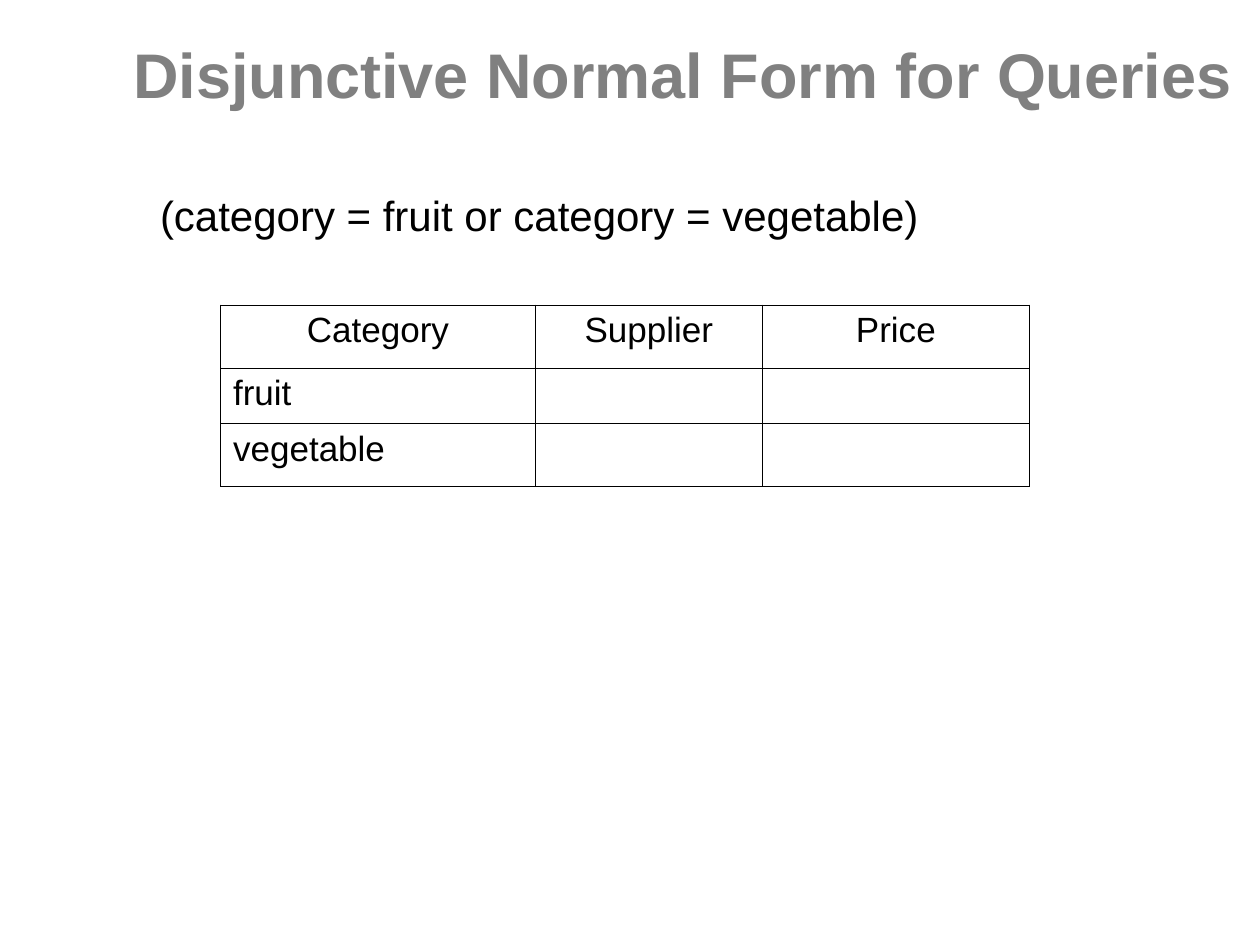
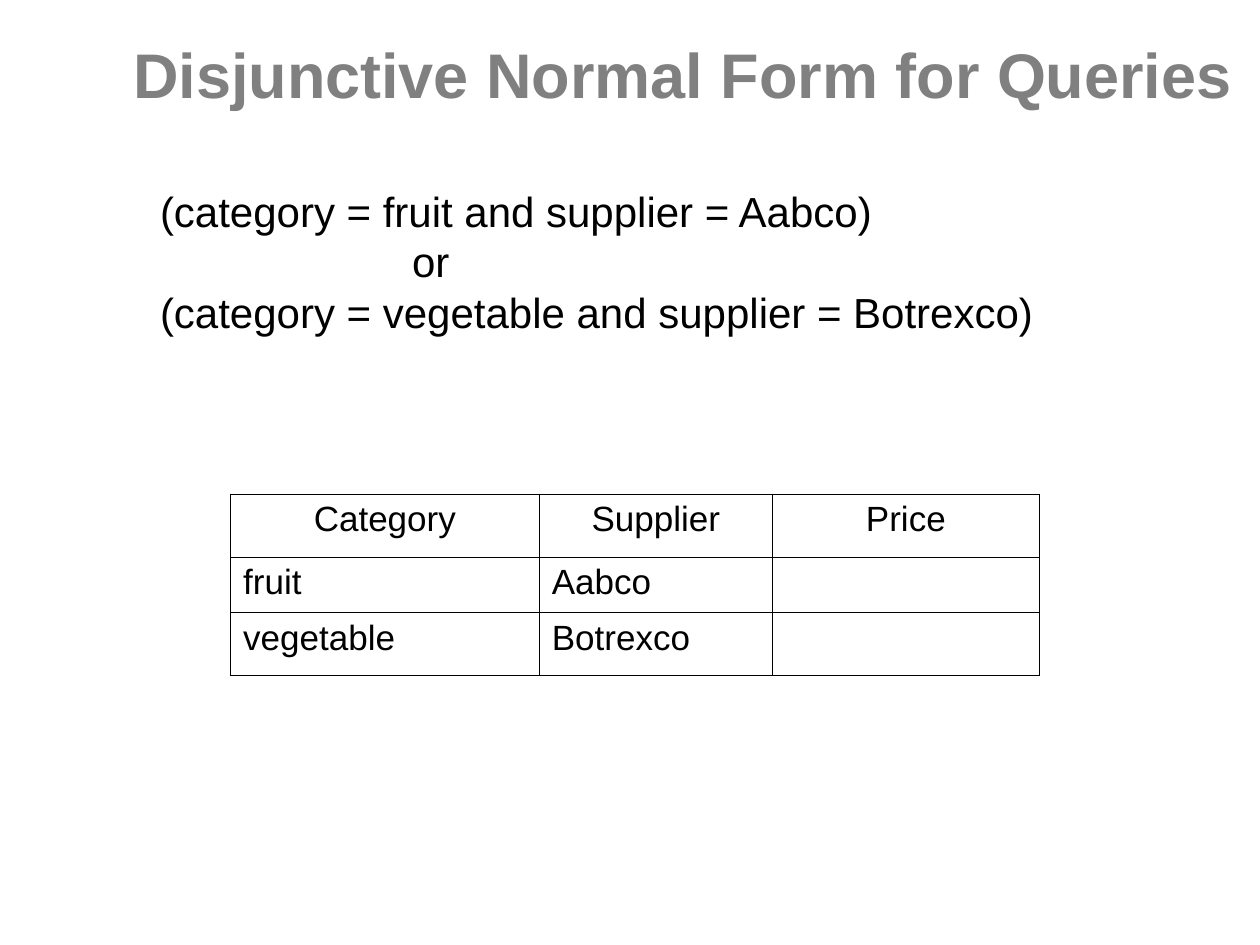
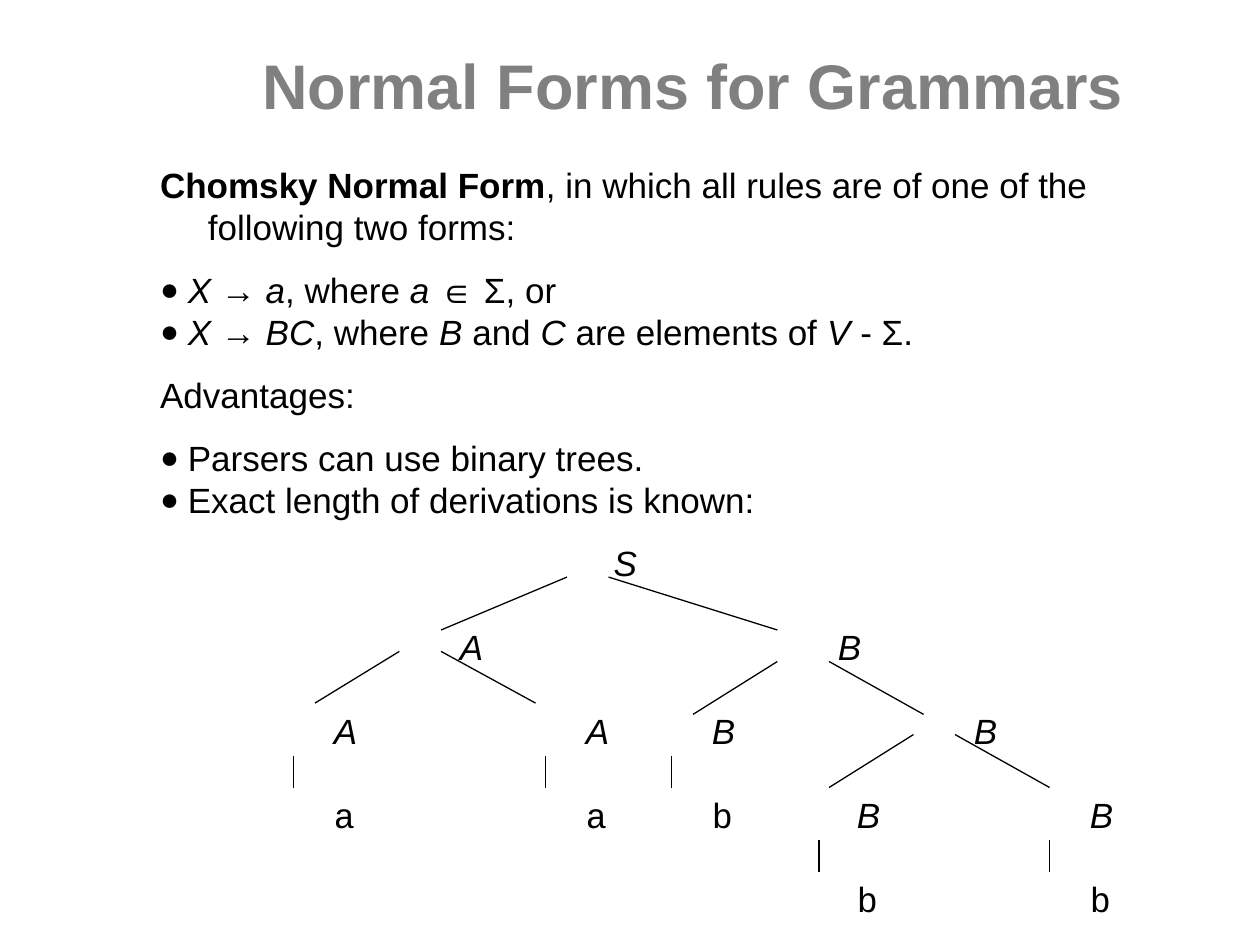
from dataclasses import dataclass

from lxml.etree import SubElement as Sub
from pptx import Presentation
from pptx.dml.color import RGBColor as RGB
from pptx.enum.shapes import MSO_CONNECTOR as Link
from pptx.enum.text import MSO_ANCHOR as Anchor, MSO_AUTO_SIZE as Fit, PP_ALIGN as Align
from pptx.oxml.ns import qn
from pptx.util import Inches, Pt


@dataclass(frozen=True)
class Theme:
    gray: RGB = RGB(0x80, 0x80, 0x80)
    ink: RGB = RGB(0, 0, 0)
    font: str = "Arial"
    mono: str = "Courier New"
    head: int = 36
    rule: int = 24
    text: int = 20
    lead: float = 1.2      # line height as a share of the type size
    edge: float = 0.45     # table borders
    line: float = 0.75     # tree branches


LEFT = 1.17
WIDE = 8.67


class Deck:
    def __init__(self, theme):
        self.theme = theme
        self.prs = Presentation()
        self.prs.slide_width, self.prs.slide_height = Inches(10), Inches(7.5)

    def place(self, shape, box):
        shape.left, shape.top, shape.width, shape.height = map(Inches, box)
        frame = shape.text_frame
        frame.word_wrap, frame.auto_size = True, Fit.NONE
        return frame

    def style(self, run, size, color=None, face=None, bold=False, slant=False):
        font = run.font
        font.name, font.size = face or self.theme.font, Pt(size)
        font.bold, font.italic = bold, slant
        font.color.rgb = color or self.theme.ink

    def page(self, title, box):
        self.slide = self.prs.slides.add_slide(self.prs.slide_layouts[1])
        frame = self.place(self.slide.shapes.title, box)
        frame.text = title
        frame.vertical_anchor = Anchor.MIDDLE
        frame.paragraphs[0].alignment = Align.CENTER
        self.style(frame.paragraphs[0].runs[0], self.theme.head, self.theme.gray, bold=True)

    def body(self, top, high):
        self.frame = self.place(self.slide.placeholders[1], (LEFT, top, WIDE, high))
        self.first = True

    def para(self, parts, size, gap=0, left=0, hang=0, dot=False):
        """Add a paragraph of (text, marks) parts; marks are b or i."""
        para = self.frame.paragraphs[0] if self.first else self.frame.add_paragraph()
        self.first = False
        props = para._p.get_or_add_pPr()
        props.set("marL", str(Inches(left + hang)))
        props.set("indent", str(-Inches(hang)))
        if dot:
            Sub(props, qn("a:buSzPct"), val="90000")
            Sub(props, qn("a:buChar"), char="●")
        else:
            Sub(props, qn("a:buNone"))
        para.line_spacing = Pt(size * self.theme.lead)
        para.space_before = Pt(gap)
        for text, marks in parts:
            run = para.add_run()
            run.text = text
            self.style(run, size, bold="b" in marks, slant="i" in marks)

    def label(self, text, left, top):
        """Add a tree label: capitals in italics, leaves in the mono face."""
        box = (left, top, 0.35, 0.33)
        frame = self.place(self.slide.shapes.add_textbox(*map(Inches, box)), box)
        frame.margin_left = frame.margin_right = 0
        frame.margin_top = frame.margin_bottom = 0
        frame.text = text
        para = frame.paragraphs[0]
        para.line_spacing = Pt(self.theme.text * self.theme.lead)
        leaf = text.islower()
        self.style(para.runs[0], self.theme.text,
                   face=self.theme.mono if leaf else None, slant=not leaf)

    def table(self, left, top, cols, rows, data):
        grid = self.slide.shapes.add_table(
            len(rows), len(cols), Inches(left), Inches(top),
            Inches(sum(cols)), Inches(sum(rows))).table
        grid.first_row = grid.horz_banding = False
        for col, wide in zip(grid.columns, cols):
            col.width = Inches(wide)
        for r, (row, high) in enumerate(zip(grid.rows, rows)):
            row.height = Inches(high)
            for cell, text in zip(row.cells, data[r]):
                self.cell(cell, text, r == 0)

    def cell(self, cell, text, head):
        props = cell._tc.get_or_add_tcPr()
        for side in "LRTB":
            line = Sub(props, qn(f"a:ln{side}"), w=str(Pt(self.theme.edge)))
            fill = Sub(line, qn("a:solidFill"))
            Sub(fill, qn("a:srgbClr"), val=str(self.theme.ink))
        cell.fill.background()
        cell.text = text
        para = cell.text_frame.paragraphs[0]
        para.alignment = Align.CENTER if head else Align.LEFT
        for run in para.runs:
            self.style(run, self.theme.text)

    def line(self, x1, y1, x2, y2):
        link = self.slide.shapes.add_connector(
            Link.STRAIGHT, *map(Inches, (x1, y1, x2, y2)))
        link.line.color.rgb = self.theme.ink
        link.line.width = Pt(self.theme.line)
        Sub(link._element.spPr, qn("a:effectLst"))


QUERY = "Disjunctive Normal Form for Queries"
QBOX = (0.92, 0.17, 9, 0.83)
HEADS = ("Category", "Supplier", "Price")
ROWS = (0.5, 0.44, 0.5)


def fruit(deck):
    deck.page(QUERY, QBOX)
    deck.body(1.45, 0.5)
    deck.para([("(category = fruit or category = vegetable)", "")], deck.theme.rule)
    deck.table(1.75, 2.42, (2.5, 1.8, 2.12), ROWS,
               (HEADS, ("fruit", "", ""), ("vegetable", "", "")))


def goods(deck):
    deck.page(QUERY, QBOX)
    deck.body(1.42, 1.3)
    for text, left in (("(category = fruit and supplier = Aabco)", 0), ("or", 2),
                       ("(category = vegetable and supplier = Botrexco)", 0)):
        deck.para([(text, "")], deck.theme.rule, left=left)
    deck.table(1.83, 3.92, (2.45, 1.85, 2.12), ROWS,
               (HEADS, ("fruit", "Aabco", ""), ("vegetable", "Botrexco", "")))


def tree(deck):
    # Each level lists its labels with their left edges
    levels = (
        (("S", 4.87),),
        (("A", 3.65), ("B", 6.65)),
        (("A", 2.65), ("A", 4.65), ("B", 5.65), ("B", 7.73)),
        (("a", 2.65), ("a", 4.65), ("b", 5.65), ("B", 6.8), ("B", 8.65)),
        (("b", 6.8), ("b", 8.65)),
    )
    for n, level in enumerate(levels):
        for name, x in level:
            deck.label(name, x, 4.3 + n * 2 / 3)

    # Stems above the leaves
    for x, y in ((2.33, 6), (4.33, 6), (5.33, 6), (6.5, 6.67), (8.33, 6.67)):
        deck.line(x, y, x, y + 0.25)

    # Left and right branches below each inner node
    forks = (
        (4.5, 4.83, 4.58, 3.5, 6.17, 5),
        (3.17, 3.5, 5.17, 2.5, 4.25, 5.58),
        (6.17, 6.58, 5.25, 5.5, 7.33, 5.67),
        (7.25, 7.58, 5.83, 6.58, 8.33, 6.25),
    )
    for west, east, top, low, high, base in forks:
        deck.line(west, top, low, base)
        deck.line(high, base, east, top)


def grammar(deck):
    deck.page("Normal Forms for Grammars", (1, 0.17, 9, 1))
    deck.body(1.25, 3.1)
    size = deck.theme.text
    deck.para([("Chomsky Normal Form", "b"),
               (", in which all rules are of one of the following two forms:", "")],
              size, hang=0.38)

    def points(*items):
        for n, parts in enumerate(items):
            deck.para(parts, size, gap=0 if n else 12, hang=0.22, dot=True)

    points([("X ", "i"), ("→ ", ""), ("a", "i"), (", where ", ""), ("a ", "i"),
            ("∈ Σ, or", "")],
           [("X ", "i"), ("→ ", ""), ("BC", "i"), (", where ", ""), ("B", "i"),
            (" and ", ""), ("C", "i"), (" are elements of ", ""), ("V", "i"),
            (" - Σ.", "")])
    deck.para([("Advantages:", "")], size, gap=12)
    points([("Parsers can use binary trees.", "")],
           [("Exact length of derivations is known:", "")])
    tree(deck)


def main():
    deck = Deck(Theme())
    for build in (fruit, goods, grammar):
        build(deck)
    deck.prs.save("out.pptx")


if __name__ == "__main__":
    main()
